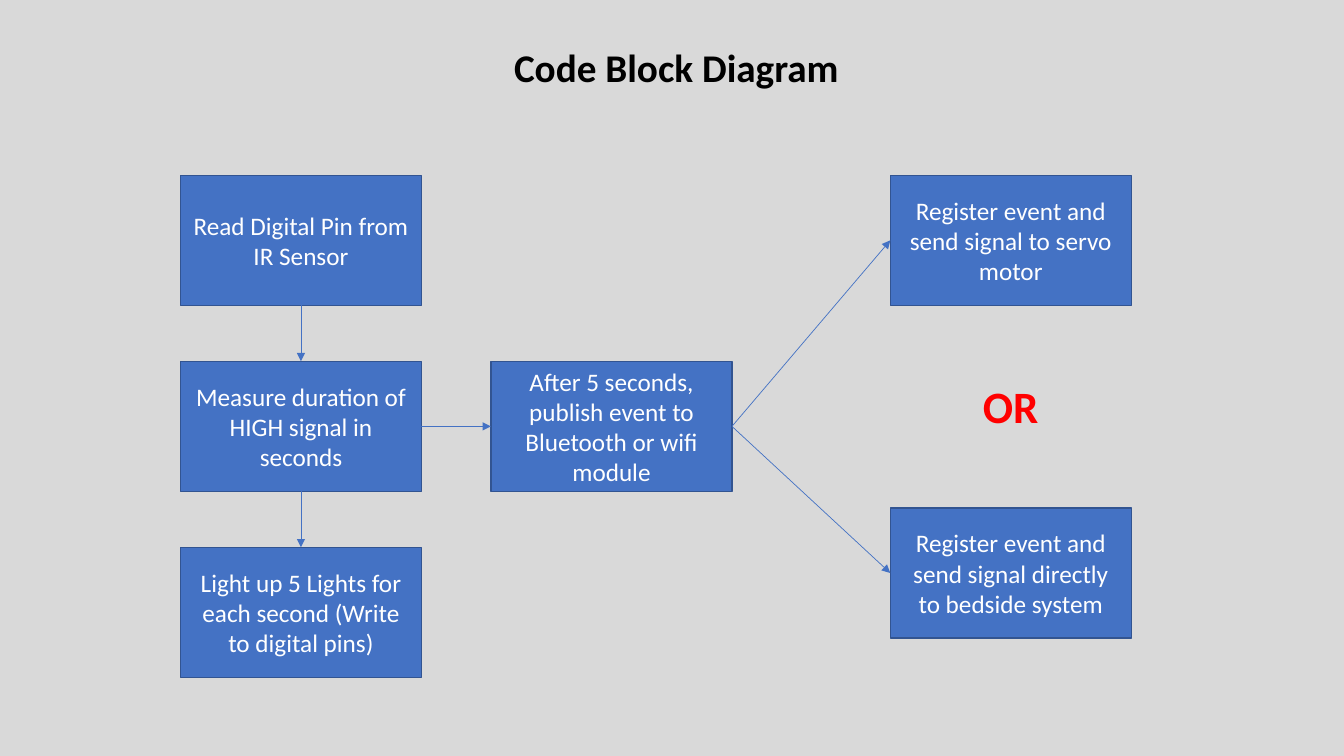
from lxml import etree
from pptx import Presentation
from pptx.dml.color import RGBColor
from pptx.enum import shapes, text
from pptx.oxml import ns
from pptx.util import Inches, Pt

BACKGROUND = RGBColor(0xD9, 0xD9, 0xD9)
BLUE = RGBColor(0x44, 0x72, 0xC4)
DARK_BLUE = RGBColor(0x32, 0x54, 0x91)
WHITE = RGBColor(0xFF, 0xFF, 0xFF)
RED = RGBColor(0xFF, 0x00, 0x00)
BLACK = RGBColor(0x00, 0x00, 0x00)

BOX_WIDTH, BOX_HEIGHT = 2.39, 1.29
LEFT, MIDDLE, RIGHT = 1.79, 4.87, 8.83
TOP, ROW_STEP = 1.74, 1.845
# Connection sites of a rectangle
SITE_TOP, SITE_LEFT, SITE_BOTTOM, SITE_RIGHT = range(4)


def write_text(shape, content, size=18, color=WHITE, bold=False, wrap=True,
               align=text.PP_ALIGN.CENTER, anchor=text.MSO_ANCHOR.MIDDLE):
    frame = shape.text_frame
    frame.word_wrap = wrap
    frame.vertical_anchor = anchor
    paragraph = frame.paragraphs[0]
    paragraph.alignment = align
    run = paragraph.add_run()
    run.text = content
    run.font.name = "Calibri"
    run.font.size = Pt(size)
    run.font.bold = bold
    run.font.color.rgb = color


presentation = Presentation()
presentation.slide_width = Inches(13.33)
presentation.slide_height = Inches(7.5)
slide = presentation.slides.add_slide(presentation.slide_layouts[6])
slide.background.fill.solid()
slide.background.fill.fore_color.rgb = BACKGROUND

steps = [
    ("read", LEFT, TOP, "Read Digital Pin from IR Sensor"),
    ("measure", LEFT, TOP + ROW_STEP, "Measure duration of HIGH signal in seconds"),
    ("light", LEFT, TOP + 2 * ROW_STEP,
     "Light up 5 Lights for each second (Write to digital pins)"),
    ("publish", MIDDLE, TOP + ROW_STEP,
     "After 5 seconds, publish event to Bluetooth or wifi module"),
    ("servo", RIGHT, TOP, "Register event and send signal to servo motor"),
    ("system", RIGHT, 5.04, "Register event and send signal directly to bedside system"),
]
boxes = {}
for name, left, top, content in steps:
    box = slide.shapes.add_shape(
        shapes.MSO_SHAPE.RECTANGLE,
        Inches(left), Inches(top), Inches(BOX_WIDTH), Inches(BOX_HEIGHT))
    box.shadow.inherit = False
    box.fill.solid()
    box.fill.fore_color.rgb = BLUE
    box.line.color.rgb = DARK_BLUE
    box.line.width = Pt(1)
    write_text(box, content)
    boxes[name] = box

arrows = [
    ("read", SITE_BOTTOM, "measure", SITE_TOP),
    ("measure", SITE_BOTTOM, "light", SITE_TOP),
    ("measure", SITE_RIGHT, "publish", SITE_LEFT),
    ("publish", SITE_RIGHT, "servo", SITE_LEFT),
    ("publish", SITE_RIGHT, "system", SITE_LEFT),
]
for start, start_site, end, end_site in arrows:
    arrow = slide.shapes.add_connector(shapes.MSO_CONNECTOR.STRAIGHT, 0, 0, 0, 0)
    arrow.begin_connect(boxes[start], start_site)
    arrow.end_connect(boxes[end], end_site)
    arrow.line.color.rgb = BLUE
    arrow.line.width = Pt(0.5)
    etree.SubElement(arrow.line._get_or_add_ln(), ns.qn("a:tailEnd"), type="triangle")
    etree.SubElement(arrow._element.spPr, ns.qn("a:effectLst"))

labels = [
    ("OR", 9.65, 3.71, 0.76, 0.64, 32, RED),
    ("Code Block Diagram", 5, 0.38, 3.46, 0.57, 28, BLACK),
]
for content, left, top, width, height, size, color in labels:
    label = slide.shapes.add_textbox(
        Inches(left), Inches(top), Inches(width), Inches(height))
    write_text(label, content, size=size, color=color, bold=True, wrap=False,
               align=text.PP_ALIGN.LEFT, anchor=text.MSO_ANCHOR.TOP)
    label.text_frame.auto_size = text.MSO_AUTO_SIZE.SHAPE_TO_FIT_TEXT

presentation.save("out.pptx")
